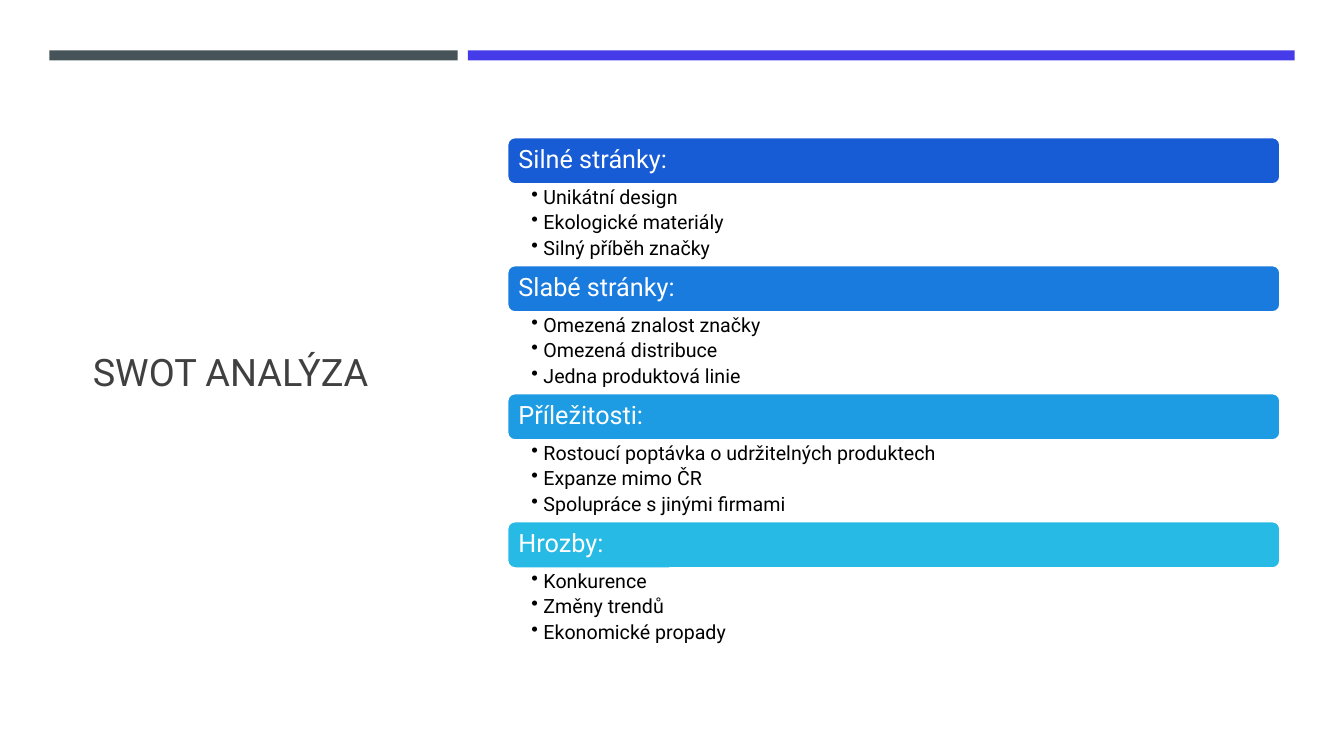
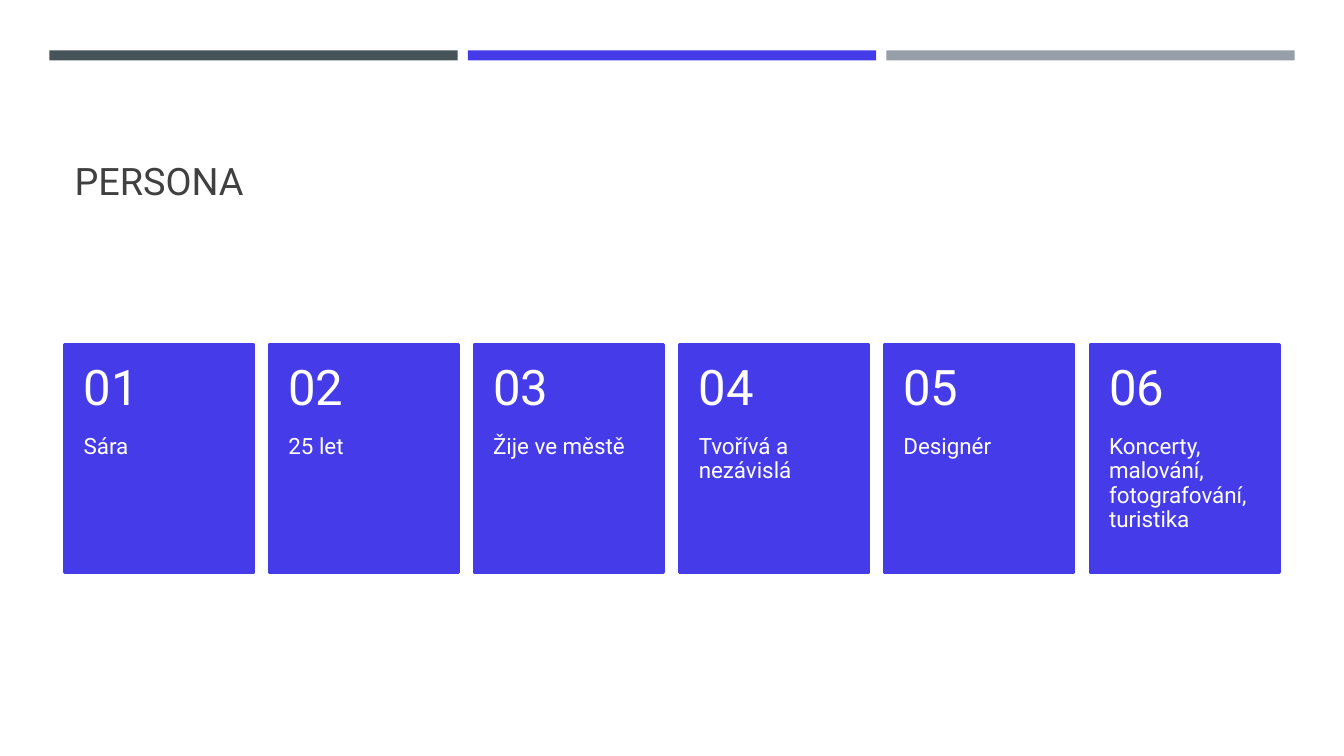
from dataclasses import dataclass

from lxml import etree
from pptx import Presentation
from pptx.dml.color import RGBColor
from pptx.enum.shapes import MSO_SHAPE
from pptx.enum.text import MSO_ANCHOR, MSO_AUTO_SIZE, PP_ALIGN
from pptx.oxml.ns import qn
from pptx.util import Emu, Pt

RECT, ROUNDED = MSO_SHAPE.RECTANGLE, MSO_SHAPE.ROUNDED_RECTANGLE
TOP, MIDDLE, BOTTOM = MSO_ANCHOR.TOP, MSO_ANCHOR.MIDDLE, MSO_ANCHOR.BOTTOM
LEFT, NO_FIT = PP_ALIGN.LEFT, MSO_AUTO_SIZE.NONE
EMU_PER_PX = 9144  # 100 px to the inch
TITLE_ONLY = 5

SWOT = [
    ("Silné stránky:", "175BD5",
     ["Unikátní design", "Ekologické materiály", "Silný příběh značky"]),
    ("Slabé stránky:", "197BDD",
     ["Omezená znalost značky", "Omezená distribuce", "Jedna produktová linie"]),
    ("Příležitosti:", "1D9CE4",
     ["Rostoucí poptávka o udržitelných produktech", "Expanze mimo ČR",
      "Spolupráce s jinými firmami"]),
    ("Hrozby:", "27BAE4",
     ["Konkurence", "Změny trendů", "Ekonomické propady"]),
]
PERSONA = ["Sára", "25 let", "Žije ve městě", "Tvořívá a nezávislá", "Designér",
           "Koncerty, malování, fotografování, turistika"]


@dataclass(frozen=True)
class Theme:
    font: str = "Roboto"
    white: str = "FFFFFF"
    black: str = "000000"
    title: str = "404040"
    slate: str = "465359"
    accent: str = "453BE9"
    gray: str = "969FA7"
    title_size: int = 27
    heading_size: int = 18
    list_size: int = 14
    number_size: int = 35
    card_size: int = 16
    outline: float = 1.75
    line_spacing: float = 0.9


def px(length):
    return Emu(length * EMU_PER_PX)


class SlideBuilder:
    def __init__(self, deck, theme):
        self.deck, self.theme, self.slide = deck, theme, None

    def new_slide(self, title, title_area, bar_widths, anchor):
        self.slide = self.deck.slides.add_slide(self.deck.slide_layouts[TITLE_ONLY])
        box = self.slide.shapes.title
        box.left, box.top, box.width, box.height = map(px, title_area)
        self.fill_text(box, [title], size=self.theme.title_size,
                       color=self.theme.title, anchor=anchor, insets=(10, 5, 10, 5))
        left = 49
        colors = (self.theme.slate, self.theme.accent, self.theme.gray)
        for width, color in zip(bar_widths, colors):
            self.panel((left, 50, width, 10), color)
            left += width + 10

    def fill_text(self, box, lines, *, size, color, anchor=TOP, insets=(0, 0, 0, 0),
                  space_after=0, bullet_indent=0):
        """Fill a shape with one paragraph per line; insets are left, top, right, bottom."""
        frame = box.text_frame
        frame.word_wrap, frame.auto_size, frame.vertical_anchor = True, NO_FIT, anchor
        (frame.margin_left, frame.margin_top,
         frame.margin_right, frame.margin_bottom) = map(px, insets)
        for index, line in enumerate(lines):
            para = frame.add_paragraph() if index else frame.paragraphs[0]
            if bullet_indent:
                self.add_bullet(para, bullet_indent)
            para.alignment = LEFT
            para.line_spacing = self.theme.line_spacing
            para.space_after = Pt(space_after)
            span = para.add_run()
            span.text = line
            span.font.name, span.font.size = self.theme.font, Pt(size)
            span.font.color.rgb = RGBColor.from_string(color)

    def add_bullet(self, para, indent):
        properties = para._p.get_or_add_pPr()
        properties.set("marL", str(px(indent)))
        properties.set("indent", str(-px(indent)))
        etree.SubElement(properties, qn("a:buChar")).set("char", "•")

    def panel(self, area, fill, outline=None, kind=RECT):
        shape = self.slide.shapes.add_shape(kind, *map(px, area))
        shape.shadow.inherit = False
        shape.fill.solid()
        shape.fill.fore_color.rgb = RGBColor.from_string(fill)
        if outline:
            shape.line.color.rgb = RGBColor.from_string(outline)
            shape.line.width = Pt(self.theme.outline)
        else:
            shape.line.fill.background()
        return shape

    def text_box(self, area, lines, **style):
        self.fill_text(self.slide.shapes.add_textbox(*map(px, area)), lines, **style)

    def headed_list(self, left, top, width, heading, fill, items):
        theme = self.theme
        header = self.panel((left, top, width, 47), fill, theme.white, ROUNDED)
        self.fill_text(header, [heading], size=theme.heading_size, color=theme.white,
                       anchor=MIDDLE, insets=(9, 7, 9, 7))
        self.text_box((left, top + 47, width, 79), items, size=theme.list_size,
                      color=theme.black, insets=(24, 3, 14, 3), space_after=3,
                      bullet_indent=12)

    def numbered_card(self, left, top, number, caption):
        theme = self.theme
        self.panel((left, top, 188, 226), theme.accent, theme.accent)
        self.text_box((left, top, 188, 90), [f"{number:02}"], size=theme.number_size,
                      color=theme.white, anchor=MIDDLE, insets=(19, 18, 19, 18))
        self.text_box((left, top + 90, 188, 136), [caption], size=theme.card_size,
                      color=theme.white, insets=(19, 0, 19, 36))


def main():
    deck = Presentation()
    deck.slide_width, deck.slide_height = px(1333), px(750)
    builder = SlideBuilder(deck, Theme())

    builder.new_slide("SWOT ANALÝZA", (82, 114, 334, 515), (405, 820), MIDDLE)
    for row, (heading, fill, items) in enumerate(SWOT):
        builder.headed_list(503, 136 + 127 * row, 767, heading, fill, items)

    builder.new_slide("PERSONA", (64, 77, 1206, 130), (405, 405, 405), BOTTOM)
    first, last = 64, 1081
    for column, caption in enumerate(PERSONA):
        left = first + (last - first) * column // (len(PERSONA) - 1)
        builder.numbered_card(left, 342, column + 1, caption)

    deck.save("out.pptx")


if __name__ == "__main__":
    main()
